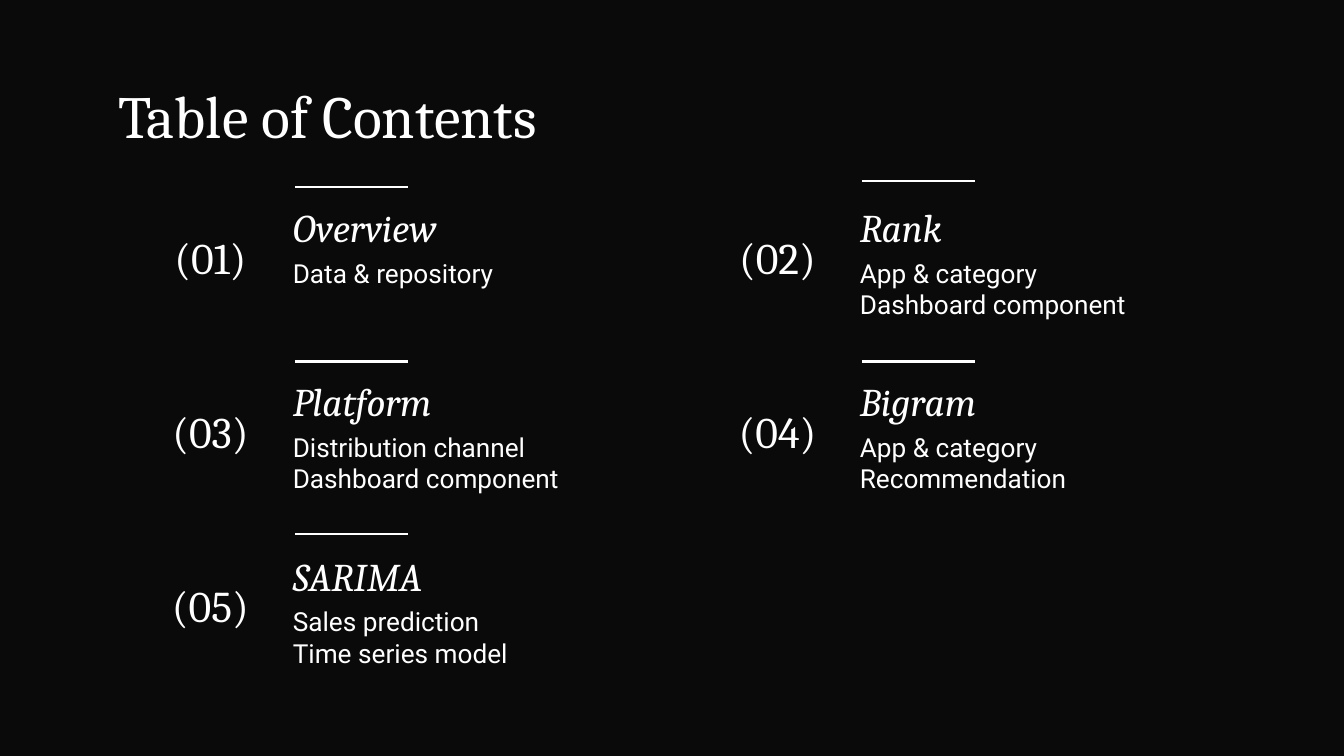
from dataclasses import dataclass

from pptx import Presentation
from pptx import util as u
from pptx.dml.color import RGBColor
from pptx.enum import shapes, text
from pptx.oxml.ns import qn
from lxml import etree


@dataclass(frozen=True)
class Theme:
    background: RGBColor = RGBColor(0x0A, 0x0A, 0x0A)
    ink: RGBColor = RGBColor(0xFF, 0xFF, 0xFF)
    serif: str = "Cambria"
    sans: str = "Roboto"
    title_size: float = 42.7
    number_size: float = 31.3
    heading_size: float = 28
    body_size: float = 18.7
    rule_width: float = 1.5


@dataclass(frozen=True)
class Entry:
    heading: str
    lines: tuple
    rule_lift: float = 0.41  # gap between the rule and the heading box, in cm


THEME = Theme()
ENTRIES = (
    Entry("Overview", ("Data & repository",)),
    Entry("Rank", ("App & category", "Dashboard component"), 0.56),
    Entry("Platform", ("Distribution channel", "Dashboard component")),
    Entry("Bigram", ("App & category", "Recommendation")),
    Entry("SARIMA", ("Sales prediction", "Time series model"), 0.46),
)

# Grid of entries, in cm
COLUMNS = 2
GRID_LEFT, GRID_TOP = 3.68, 5.13
COLUMN_STEP, ROW_STEP = 14.29, 4.39
TEXT_OFFSET, TEXT_WIDTH = 3.36, 8.86
INSET = 0.34


def add_text(page, left, top, width, height, lines, font_name, size,
             italic=False, align=text.PP_ALIGN.LEFT, inset_top=0):
    box = page.shapes.add_textbox(u.Cm(left), u.Cm(top), u.Cm(width), u.Cm(height))
    frame = box.text_frame
    frame.word_wrap = True
    frame.vertical_anchor = text.MSO_ANCHOR.TOP
    frame.margin_left = frame.margin_right = frame.margin_bottom = u.Cm(INSET)
    frame.margin_top = u.Cm(inset_top)
    frame.text = "\n".join(lines)
    for para in frame.paragraphs:
        para.alignment = align
        para.font.name = font_name
        para.font.size = u.Pt(size)
        para.font.italic = italic
        para.font.color.rgb = THEME.ink


def add_rule(page, left, top, width):
    rule = page.shapes.add_connector(
        shapes.MSO_CONNECTOR.STRAIGHT,
        u.Cm(left), u.Cm(top), u.Cm(left + width), u.Cm(top))
    rule.line.color.rgb = THEME.ink
    rule.line.width = u.Pt(THEME.rule_width)
    etree.SubElement(rule._element.spPr, qn("a:effectLst"))


def add_entry(page, index, entry):
    row, column = divmod(index, COLUMNS)
    left = GRID_LEFT + column * COLUMN_STEP
    top = GRID_TOP + row * ROW_STEP
    text_left = left + TEXT_OFFSET
    add_rule(page, text_left + 0.4, top - entry.rule_lift, 2.83)
    add_text(page, left, top, 3.25, 3.03, [f"({index + 1:02d})"], THEME.serif,
             THEME.number_size, align=text.PP_ALIGN.CENTER, inset_top=0.68)
    add_text(page, text_left, top, TEXT_WIDTH, 1.35, [entry.heading],
             THEME.serif, THEME.heading_size, italic=True)
    add_text(page, text_left, top + 1.35, TEXT_WIDTH, 1.7, entry.lines,
             THEME.sans, THEME.body_size)


def main():
    deck = Presentation()
    deck.slide_width, deck.slide_height = u.Cm(33.87), u.Cm(19.05)
    page = deck.slides.add_slide(deck.slide_layouts[6])

    # Background
    page.background.fill.solid()
    page.background.fill.fore_color.rgb = THEME.background

    # Title
    add_text(page, 2.64, 1.98, 28.58, 2.29, ["Table of Contents"],
             THEME.serif, THEME.title_size)

    # Contents
    for index, entry in enumerate(ENTRIES):
        add_entry(page, index, entry)

    deck.save("out.pptx")


if __name__ == "__main__":
    main()
